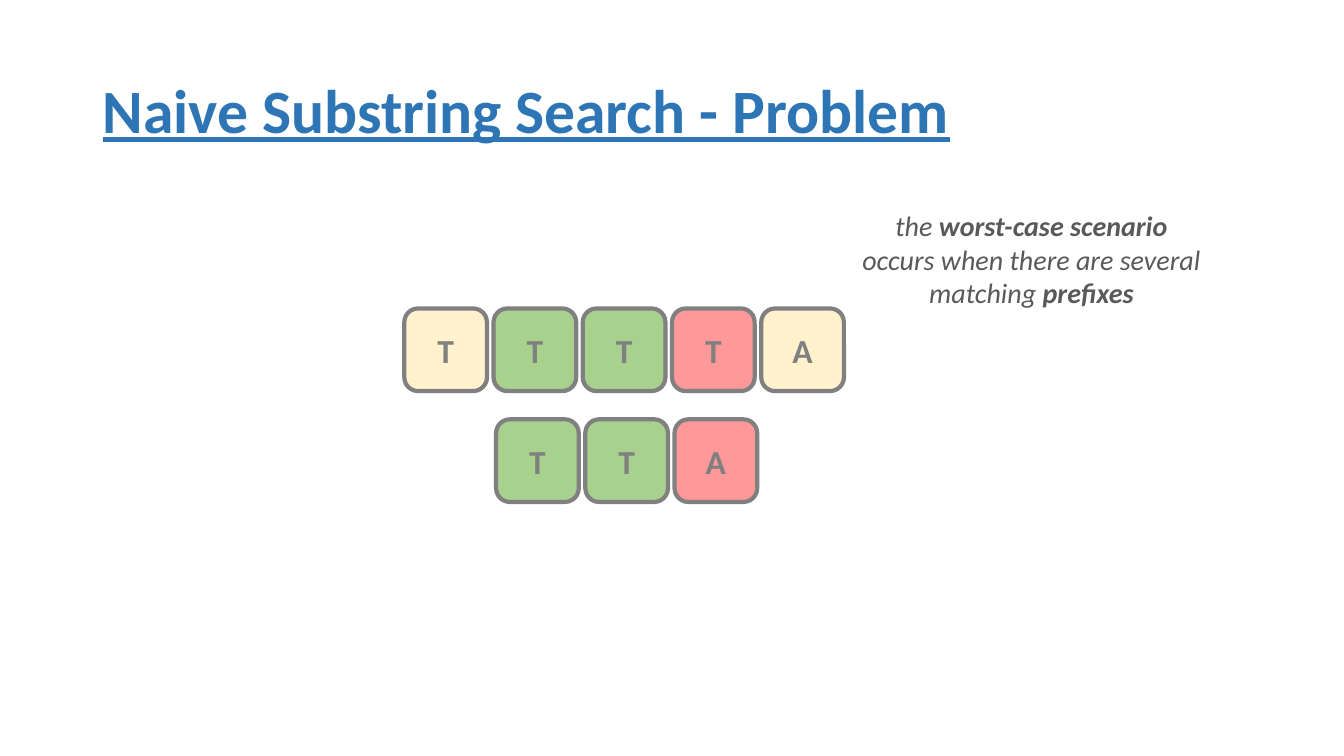
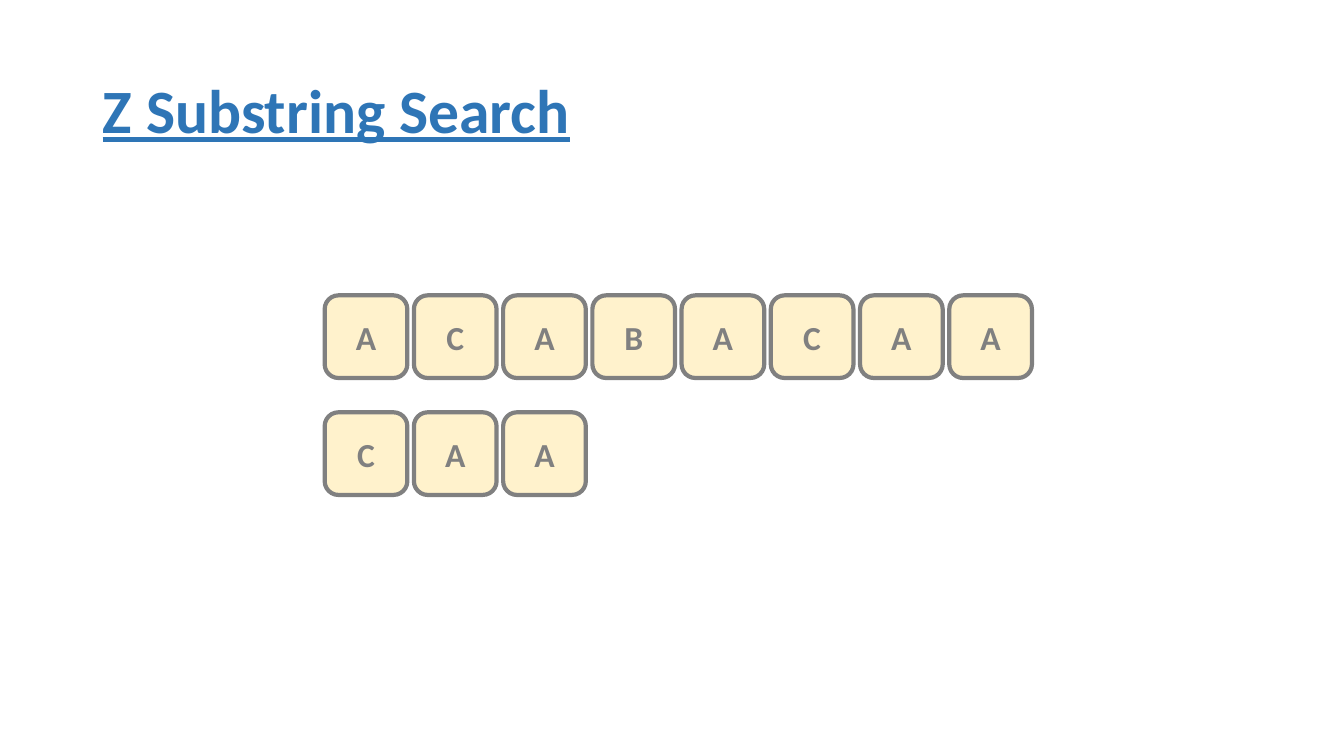
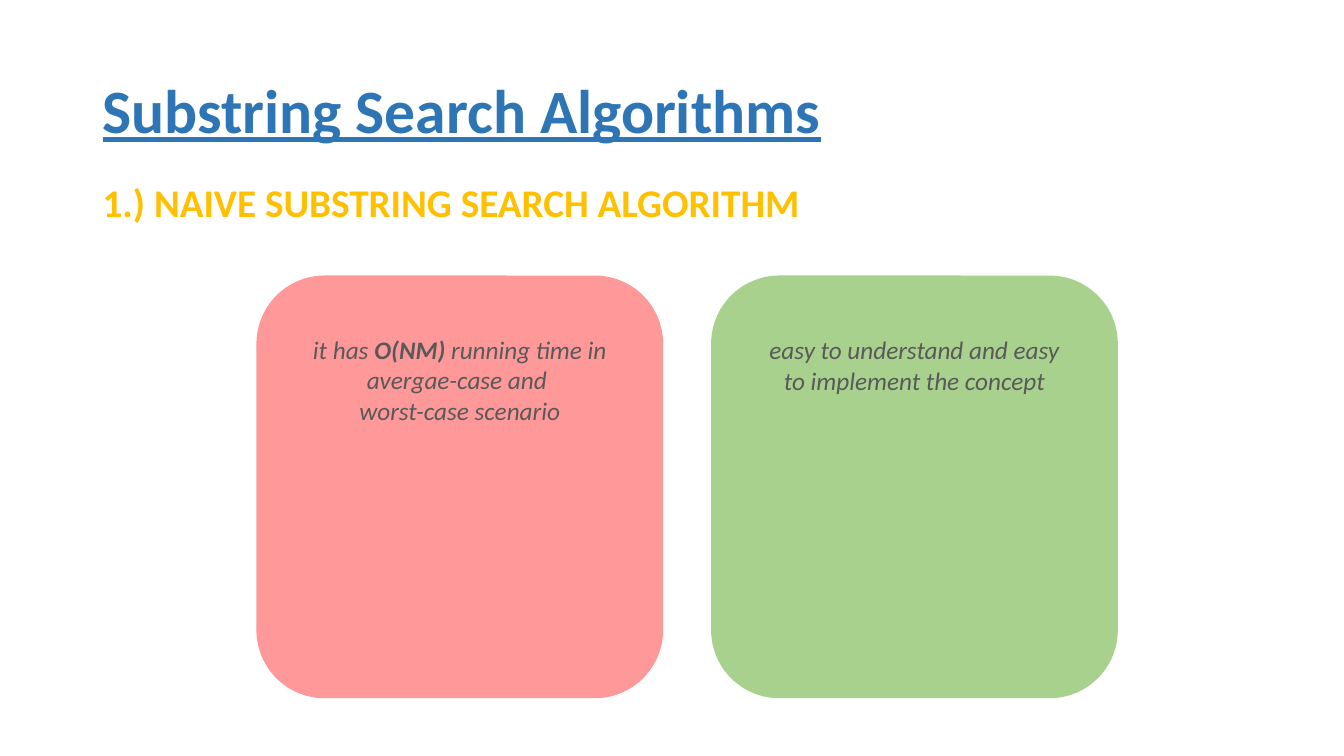
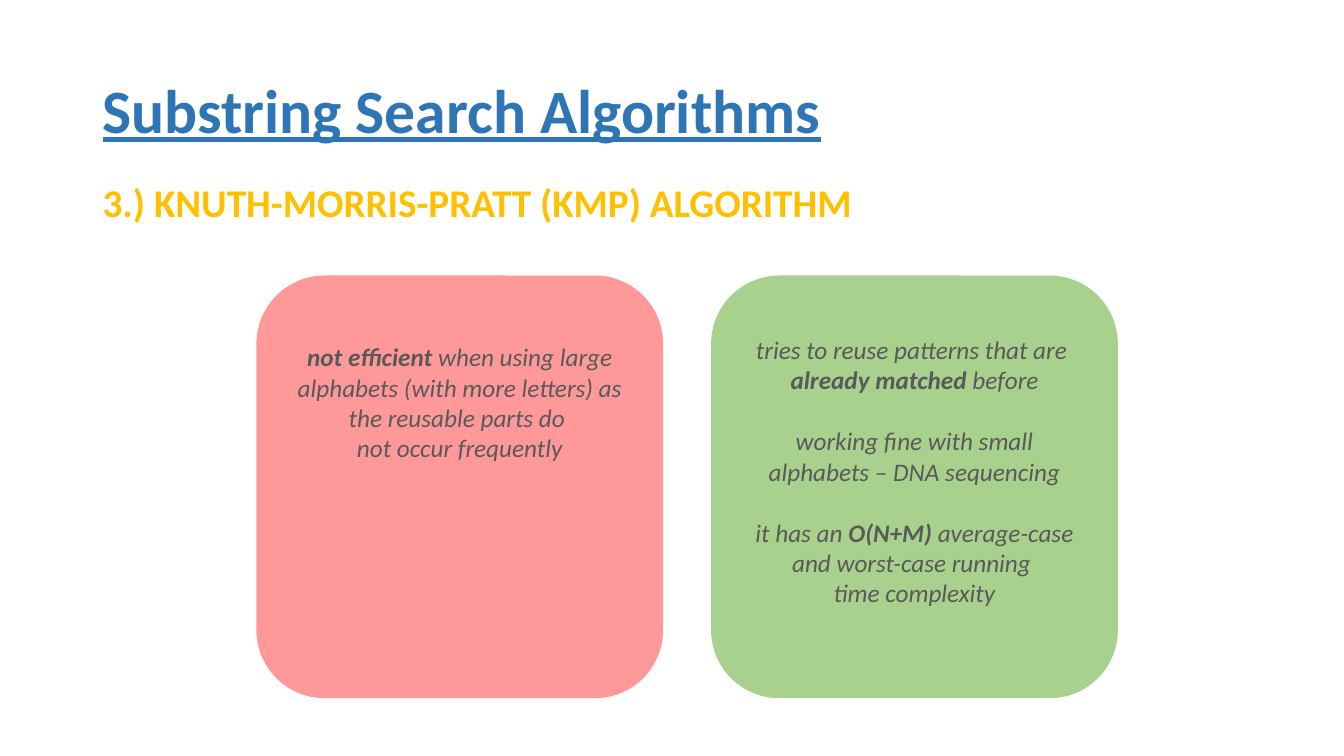
from pptx import Presentation
from pptx.dml.color import RGBColor
from pptx.enum.shapes import MSO_SHAPE
from pptx.enum.text import MSO_ANCHOR, PP_ALIGN
from pptx.util import Inches, Pt

FONT = "Calibri"
BLUE = RGBColor(0x2E, 0x75, 0xB6)
GOLD = RGBColor(0xFF, 0xC0, 0x00)
DARK = RGBColor(0x59, 0x59, 0x59)
GRAY = RGBColor(0x80, 0x80, 0x80)
CREAM = RGBColor(0xFF, 0xF2, 0xCC)
GREEN = RGBColor(0xA9, 0xD1, 0x8E)
RED = RGBColor(0xFF, 0x99, 0x99)

MARGIN = 0.92
TILE, TILE_GAP = 0.82, 0.065
CARD_X, CARD_Y, CARD_W, CARD_H, CARD_GAP = 2.55, 2.74, 4.02, 4.18, 0.49
TILE_FILLS = {"-": CREAM, "+": GREEN, "x": RED}

# Notes are lists of blocks, blocks are lists of lines; **...** is bold.
# Tile rows: left, top, letters, state of each letter (+ match, x mismatch, - unread).
TILE_SLIDES = [
    {
        "title": "Naive Substring Search - Problem",
        "rows": [(4.01, 3.06, "TTTTA", "-++x-"), (4.92, 4.16, "TTA", "++x")],
        "note": [["the **worst-case scenario**",
                  "occurs when there are several",
                  "matching **prefixes**"]],
    },
    {
        "title": "Z Substring Search",
        "rows": [(3.22, 2.93, "ACABACAA", "--------"), (3.22, 4.09, "CAA", "---")],
        "note": None,
    },
]

# Cards: fill, top of the note, note
CARD_SLIDES = [
    {
        "title": "Substring Search Algorithms",
        "heading": "1.) NAIVE SUBSTRING SEARCH ALGORITHM",
        "cards": [
            (RED, 3.27, [["it has **O(NM)** running time in",
                          "avergae-case and ",
                          "worst-case scenario"]]),
            (GREEN, 3.27, [["easy to understand and easy",
                            "to implement the concept"]]),
        ],
    },
    {
        "title": "Substring Search Algorithms",
        "heading": "3.) KNUTH-MORRIS-PRATT (KMP) ALGORITHM",
        "cards": [
            (RED, 3.34, [["**not efficient** when using large",
                          "alphabets (with more letters) as",
                          "the reusable parts do ",
                          "not occur frequently"]]),
            (GREEN, 3.27, [["tries to reuse patterns that are ",
                            "**already matched** before"],
                           ["working fine with small",
                            "alphabets – DNA sequencing"],
                           ["it has an **O(N+M)** average-case",
                            "and worst-case running ",
                            "time complexity"]]),
        ],
    },
]


def write(s, blocks, *, size, color, bold=False, italic=False, underline=False,
          align=PP_ALIGN.LEFT, anchor=MSO_ANCHOR.TOP, spacing=None, wrap=True):
    """Fill a shape with blocks of lines, leaving one line between blocks."""
    tf = s.text_frame
    tf.word_wrap = wrap
    tf.vertical_anchor = anchor
    p = None
    for block in blocks:
        for i, line in enumerate(block):
            gap = p is not None and i == 0
            p = tf.paragraphs[0] if p is None else tf.add_paragraph()
            p.alignment = align
            if spacing:
                p.line_spacing = spacing
            if gap:
                p.space_before = Pt(size * 1.22)
            for j, part in enumerate(line.split("**")):
                if part:
                    r = p.add_run()
                    r.text = part
                    f = r.font
                    f.name, f.size, f.color.rgb = FONT, Pt(size), color
                    f.bold = bold or j % 2 == 1
                    f.italic, f.underline = italic, underline


def add_text(slide, x, y, w, h, blocks, **style):
    s = slide.shapes.add_textbox(Inches(x), Inches(y), Inches(w), Inches(h))
    write(s, blocks, **style)


def add_note(slide, x, y, w, blocks, size):
    lines = sum(map(len, blocks)) + len(blocks) - 1
    add_text(slide, x, y, w, 0.1 + lines * size * 1.22 / 72, blocks, size=size,
             color=DARK, italic=True, align=PP_ALIGN.CENTER, wrap=False)


def add_rounded(slide, x, y, w, h, fill, line, line_width):
    s = slide.shapes.add_shape(MSO_SHAPE.ROUNDED_RECTANGLE,
                               Inches(x), Inches(y), Inches(w), Inches(h))
    s.shadow.inherit = False
    s.fill.solid()
    s.fill.fore_color.rgb = fill
    s.line.color.rgb = line
    s.line.width = Pt(line_width)
    return s


def add_tiles(slide, x, y, letters, states):
    for i, (letter, state) in enumerate(zip(letters, states)):
        s = add_rounded(slide, x + i * (TILE + TILE_GAP), y, TILE, TILE,
                        TILE_FILLS[state], GRAY, 3)
        write(s, [[letter]], size=24, color=GRAY, bold=True,
              align=PP_ALIGN.CENTER, anchor=MSO_ANCHOR.MIDDLE)


def add_titled_slide(prs, title):
    slide = prs.slides.add_slide(prs.slide_layouts[6])
    add_text(slide, MARGIN, 0.4, 11.5, 1.45, [[title]], size=44, color=BLUE,
             bold=True, underline=True, anchor=MSO_ANCHOR.MIDDLE, spacing=0.9)
    return slide


def main():
    prs = Presentation()
    prs.slide_width, prs.slide_height = Inches(13.33), Inches(7.5)

    for content in TILE_SLIDES:
        slide = add_titled_slide(prs, content["title"])
        for row in content["rows"]:
            add_tiles(slide, *row)
        if content["note"]:
            add_note(slide, 8.44, 2.02, 3.58, content["note"], 20)

    for content in CARD_SLIDES:
        slide = add_titled_slide(prs, content["title"])
        add_text(slide, MARGIN, 1.77, 12.01, 0.6, [[content["heading"]]], size=28,
                 color=GOLD, bold=True, spacing=0.9)
        for i, (fill, note_y, note) in enumerate(content["cards"]):
            x = CARD_X + i * (CARD_W + CARD_GAP)
            add_rounded(slide, x, CARD_Y, CARD_W, CARD_H, fill, fill, 1)
            add_note(slide, x, note_y, CARD_W, note, 18)

    prs.save("out.pptx")


if __name__ == "__main__":
    main()
